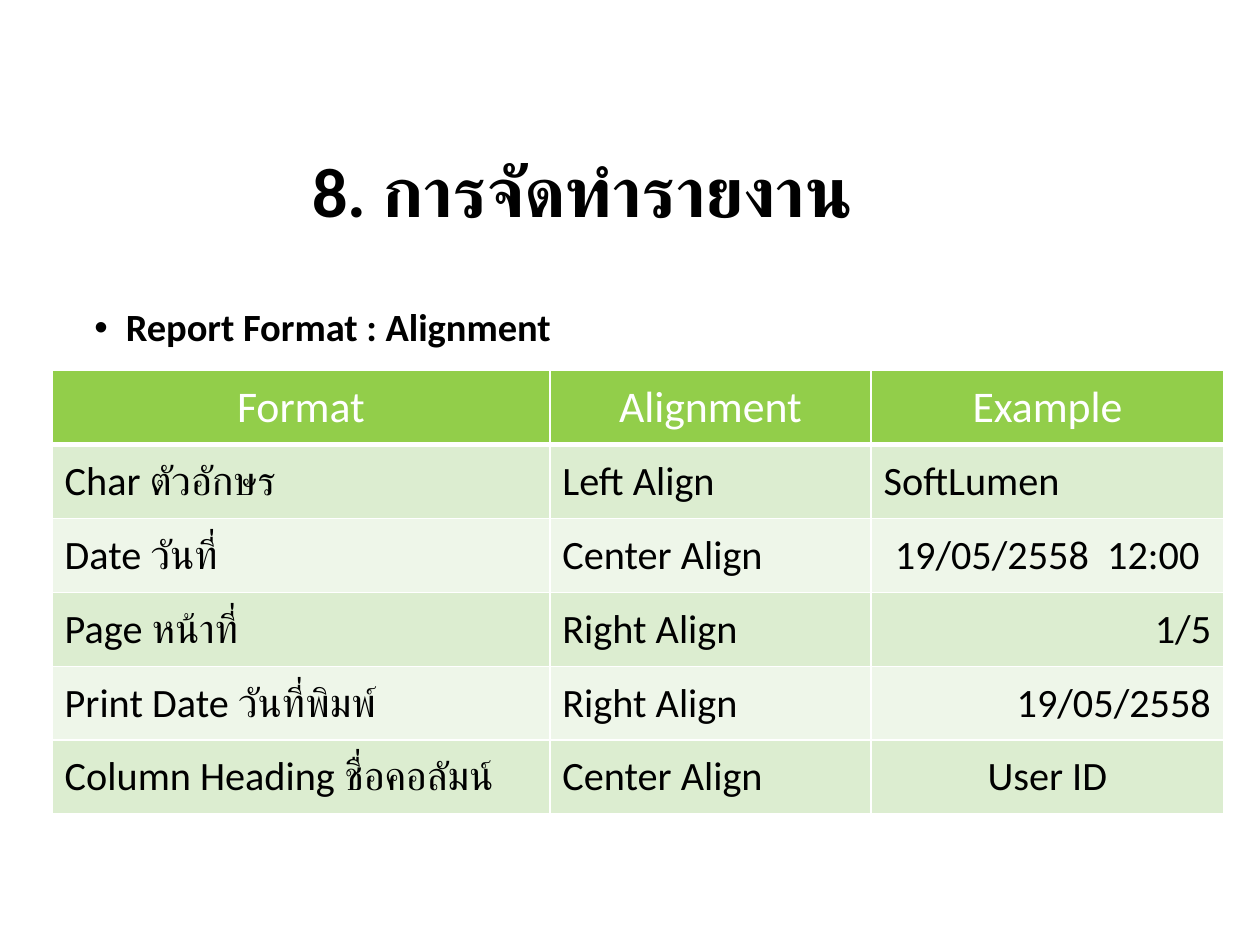
"""Build the report alignment slide with its title, bullet and format table."""
from dataclasses import dataclass

from lxml import etree
from pptx import Presentation
from pptx import util as u
from pptx.dml.color import RGBColor
from pptx.enum import text as t
from pptx.oxml import ns

FONT = "Calibri"
BLACK = RGBColor(0x00, 0x00, 0x00)
WHITE = RGBColor(0xFF, 0xFF, 0xFF)
HEADER_GREEN = RGBColor(0x92, 0xCE, 0x4A)
BAND_DARK = RGBColor(0xDC, 0xED, 0xD0)
BAND_LIGHT = RGBColor(0xEE, 0xF6, 0xE9)

LEFT, CENTER, RIGHT = t.PP_ALIGN.LEFT, t.PP_ALIGN.CENTER, t.PP_ALIGN.RIGHT
COLUMN_WIDTHS = (284.4, 183.6, 201.6)
ROW_HEIGHT = 42.24
HEADINGS = ("Format", "Alignment", "Example")


@dataclass(frozen=True)
class FormatRow:
    name: str
    alignment: str
    example: str
    example_align: t.PP_ALIGN


FORMAT_ROWS = (
    FormatRow("Char ตัวอักษร", "Left Align", "SoftLumen", LEFT),
    FormatRow("Date วันที่", "Center Align", "19/05/2558  12:00", CENTER),
    FormatRow("Page หน้าที่", "Right Align", "1/5", RIGHT),
    FormatRow("Print Date วันที่พิมพ์", "Right Align", "19/05/2558", RIGHT),
    FormatRow("Column Heading ชื่อคอลัมน์", "Center Align", "User ID", CENTER),
)


def write_text(frame, text: str, *, size: float, color: RGBColor = BLACK,
               bold: bool = False, align: t.PP_ALIGN = LEFT,
               line_spacing: float = 1.0, bullet: str = "") -> None:
    paragraph = frame.paragraphs[0]
    if bullet:
        properties = paragraph._p.get_or_add_pPr()
        properties.set("marL", str(u.Pt(18)))
        properties.set("indent", str(u.Pt(-18)))
        etree.SubElement(properties, ns.qn("a:buFont"), typeface="Arial")
        etree.SubElement(properties, ns.qn("a:buChar"), char=bullet)
    paragraph.alignment = align
    paragraph.line_spacing = line_spacing
    run = paragraph.add_run()
    run.text = text
    run.font.name = FONT
    run.font.size = u.Pt(size)
    run.font.bold = bold
    run.font.color.rgb = color


def set_border(cell, side: str, width: float) -> None:
    line = etree.SubElement(cell._tc.get_or_add_tcPr(), ns.qn(f"a:ln{side}"),
                            w=str(u.Pt(width)))
    fill = etree.SubElement(line, ns.qn("a:solidFill"))
    etree.SubElement(fill, ns.qn("a:srgbClr"), val=str(WHITE))


def fill_cell(cell, text: str, *, fill: RGBColor, size: float, color: RGBColor,
              align: t.PP_ALIGN, bottom_border: float = 1) -> None:
    for side, width in (("L", 1), ("R", 1), ("T", 1), ("B", bottom_border)):
        set_border(cell, side, width)
    cell.fill.solid()
    cell.fill.fore_color.rgb = fill
    cell.vertical_anchor = t.MSO_ANCHOR.MIDDLE
    write_text(cell.text_frame, text, size=size, color=color, align=align)


def add_format_table(slide) -> None:
    row_count = len(FORMAT_ROWS) + 1
    table = slide.shapes.add_table(
        row_count, len(HEADINGS), u.Pt(29.8), u.Pt(211.8),
        u.Pt(sum(COLUMN_WIDTHS)), u.Pt(ROW_HEIGHT * row_count)).table
    table.first_row = table.horz_banding = False
    for column, width in zip(table.columns, COLUMN_WIDTHS):
        column.width = u.Pt(width)
    for row in table.rows:
        row.height = u.Pt(ROW_HEIGHT)
    for column, heading in enumerate(HEADINGS):
        fill_cell(table.cell(0, column), heading, fill=HEADER_GREEN, size=25,
                  color=WHITE, align=CENTER, bottom_border=3)
    for index, row in enumerate(FORMAT_ROWS, start=1):
        band = BAND_DARK if index % 2 else BAND_LIGHT
        entries = ((row.name, LEFT), (row.alignment, LEFT),
                   (row.example, row.example_align))
        for column, (text, align) in enumerate(entries):
            fill_cell(table.cell(index, column), text, fill=band, size=23,
                      color=BLACK, align=align)


def add_title(slide) -> None:
    title = slide.shapes.title
    title.left, title.top = u.Pt(171.4), u.Pt(60.5)
    title.width, title.height = u.Pt(501.8), u.Pt(101.5)
    frame = title.text_frame
    frame.auto_size = t.MSO_AUTO_SIZE.NONE
    frame.vertical_anchor = t.MSO_ANCHOR.MIDDLE
    write_text(frame, "8. การจัดทำรายงาน", size=40, bold=True, line_spacing=0.9)


def add_bullet(slide) -> None:
    box = slide.shapes.add_textbox(u.Pt(46.8), u.Pt(172.8), u.Pt(626.4), u.Pt(320.4))
    box.text_frame.word_wrap = True
    write_text(box.text_frame, "Report Format : Alignment", size=22, bold=True,
               line_spacing=0.9, bullet="•")


def main() -> None:
    presentation = Presentation()
    presentation.slide_width, presentation.slide_height = u.Pt(720), u.Pt(540)
    slide = presentation.slides.add_slide(presentation.slide_layouts[5])
    add_title(slide)
    add_format_table(slide)
    add_bullet(slide)
    presentation.save("out.pptx")


if __name__ == "__main__":
    main()
